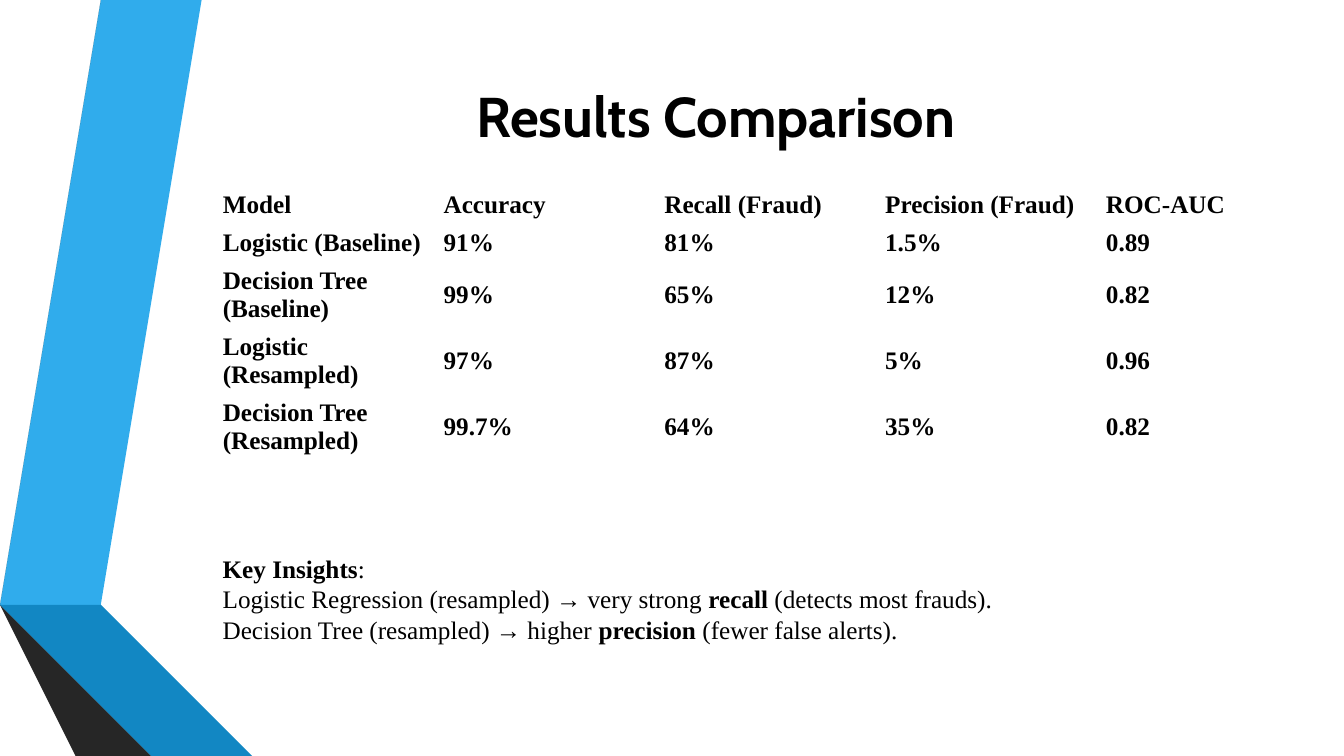
from pptx import Presentation
from pptx.dml.color import RGBColor
from pptx.enum.text import MSO_ANCHOR as Anchor, PP_ALIGN as Align
from pptx.util import Inches, Pt

BLACK = RGBColor(0x00, 0x00, 0x00)
SKY = RGBColor(0x30, 0xAC, 0xEC)
BLUE = RGBColor(0x12, 0x87, 0xC3)
NAVY = RGBColor(0x0C, 0x5A, 0x82)
GRAY = RGBColor(0x59, 0x59, 0x59)
DARK_GRAY = RGBColor(0x40, 0x40, 0x40)
CHARCOAL = RGBColor(0x26, 0x26, 0x26)

WIDTH, HEIGHT = 13.33, 7.5
LEFT = 2.11
TABLE_TOP, COLUMN = 1.84, 2.19
ONE_LINE, TWO_LINES = 0.38, 0.655

TITLE = "Results Comparison"
RESULTS = [
    ("Model", "Accuracy", "Recall (Fraud)", "Precision (Fraud)", "ROC-AUC"),
    ("Logistic (Baseline)", "91%", "81%", "1.5%", "0.89"),
    ("Decision Tree (Baseline)", "99%", "65%", "12%", "0.82"),
    ("Logistic (Resampled)", "97%", "87%", "5%", "0.96"),
    ("Decision Tree (Resampled)", "99.7%", "64%", "35%", "0.82"),
]
INSIGHTS = [
    [("Key Insights", True), (":", False)],
    [("Logistic Regression (resampled) → very strong ", False),
     ("recall", True), (" (detects most frauds).", False)],
    [("Decision Tree (resampled) → higher ", False),
     ("precision", True), (" (fewer false alerts).", False)],
]
RIBBONS = [
    (SKY, [(0.5, 5.78), (0.77, 5.83), (1.73, 0), (1.45, 0)]),
    (GRAY, [(1.39, 0), (1.11, 0), (0.16, 5.73), (0.44, 5.77)]),
    (CHARCOAL, [(0.16, 5.73), (1.45, HEIGHT), (1.51, HEIGHT)]),
    (NAVY, [(0.5, 5.79), (2.08, HEIGHT), (2.14, HEIGHT)]),
    (BLUE, [(0.5, 5.78), (2.14, HEIGHT), (2.83, HEIGHT), (0.77, 5.83)]),
    (DARK_GRAY, [(2.02, HEIGHT), (0.48, 5.83), (0.44, 5.77), (0.16, 5.73),
                 (1.51, HEIGHT)]),
]


def write(p, text, size=18, font="Times New Roman", bold=True, align=Align.LEFT):
    p.alignment = align
    r = p.add_run()
    r.text = text
    r.font.size = Pt(size)
    r.font.name = font
    r.font.bold = bold
    r.font.color.rgb = BLACK


def place(sp, left, top, width, height):
    sp.left, sp.top = Inches(left), Inches(top)
    sp.width, sp.height = Inches(width), Inches(height)


def draw_ribbon(s, color, points):
    builder = s.shapes.build_freeform(*points[0], scale=Inches(1))
    builder.add_line_segments(points[1:], close=True)
    sp = builder.convert_to_shape()
    sp.shadow.inherit = False
    sp.fill.solid()
    sp.fill.fore_color.rgb = color
    sp.line.fill.background()


def add_results(s):
    heights = [TWO_LINES if len(row[0]) > 19 else ONE_LINE for row in RESULTS]
    columns = len(RESULTS[0])
    heights[3] = TWO_LINES
    table = s.shapes.add_table(
        len(RESULTS), columns, Inches(LEFT), Inches(TABLE_TOP),
        Inches(COLUMN * columns), Inches(sum(heights))).table
    table.first_row = table.horz_banding = False
    for column in table.columns:
        column.width = Inches(COLUMN)
    for row, height, values in zip(table.rows, heights, RESULTS):
        row.height = Inches(height)
        for cell, value in zip(row.cells, values):
            cell.fill.background()
            cell.vertical_anchor = Anchor.MIDDLE
            write(cell.text_frame.paragraphs[0], value)


def add_insights(s):
    tf = s.shapes.add_textbox(Inches(LEFT), Inches(5.44), Inches(9.41),
                              Inches(1.31)).text_frame
    tf.word_wrap = True
    for i, line in enumerate(INSIGHTS):
        p = tf.add_paragraph() if i else tf.paragraphs[0]
        for text, bold in line:
            write(p, text, bold=bold, align=Align.JUSTIFY)


def main():
    prs = Presentation()
    prs.slide_width, prs.slide_height = Inches(WIDTH), Inches(HEIGHT)
    s = prs.slides.add_slide(prs.slide_layouts[5])
    for color, points in RIBBONS:
        draw_ribbon(s, color, points)
    title = s.shapes.title
    place(title, 1.62, 0.44, 10.96, 1.4)
    title.text_frame.vertical_anchor = Anchor.MIDDLE
    write(title.text_frame.paragraphs[0], TITLE, size=40, font="Cabin",
          align=Align.CENTER)
    add_results(s)
    add_insights(s)
    prs.save("out.pptx")


if __name__ == "__main__":
    main()
